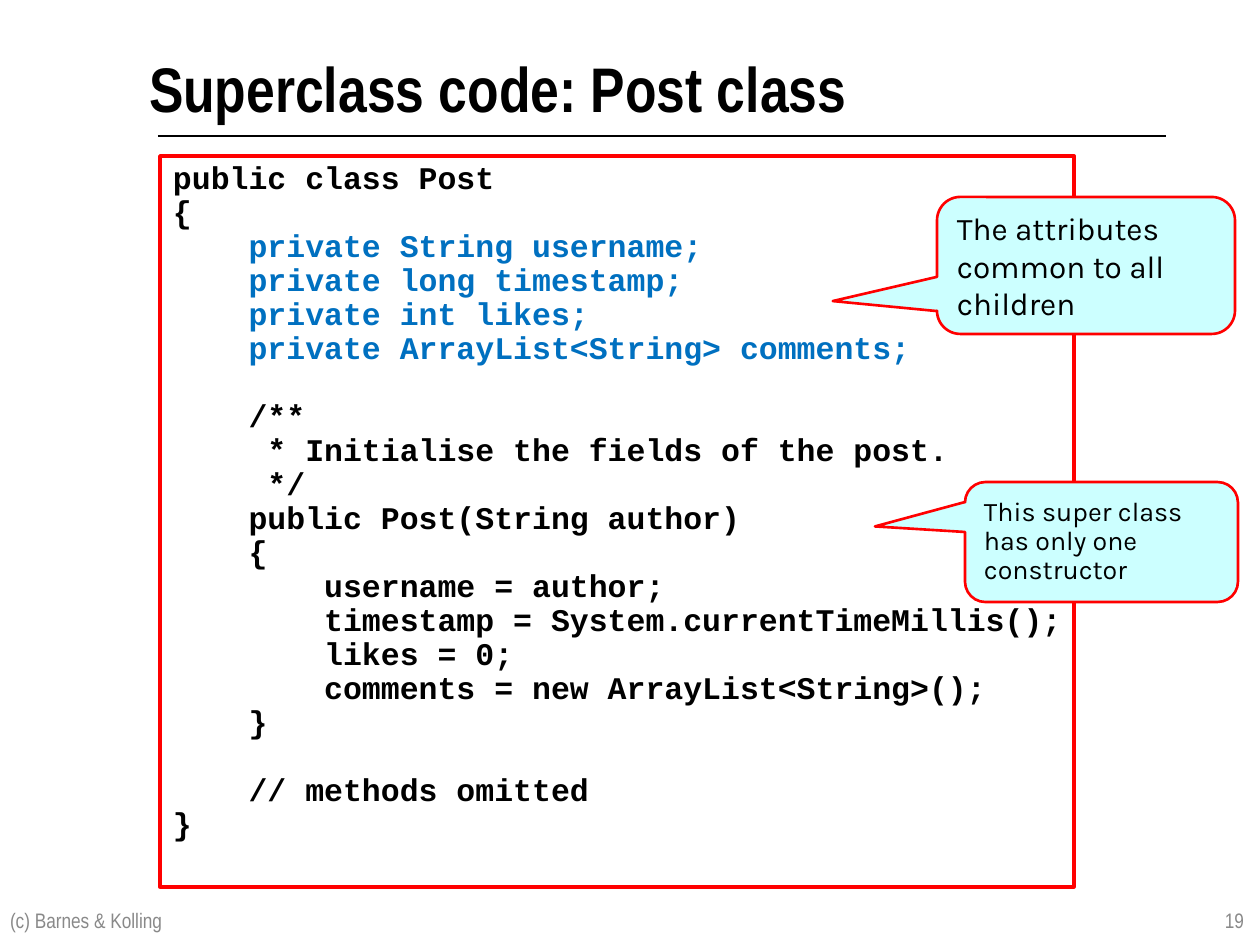
import pptx
import pptx.dml.color
import pptx.enum.shapes
import pptx.enum.text
import pptx.oxml
import pptx.oxml.ns
import pptx.util
from dataclasses import dataclass

PIXELS_PER_INCH = 126
SHAPES = pptx.enum.shapes.MSO_SHAPE
ANCHOR = pptx.enum.text.MSO_ANCHOR
ALIGN = pptx.enum.text.PP_ALIGN


@dataclass(frozen=True)
class Theme:
    black: str = "000000"
    white: str = "FFFFFF"
    red: str = "FF0000"
    blue: str = "0070C0"
    gray: str = "898989"
    cyan: str = "CCFFFF"
    heading_font: str = "Arial Narrow"
    code_font: str = "Courier New"
    callout_font: str = "Karla"
    title_size: float = 36
    code_size: float = 18
    callout_size: float = 18
    small_callout_size: float = 15.3
    footer_size: float = 12
    code_gap: float = 19.5
    tight_spacing: float = 0.9


THEME = Theme()

# Each block is separated from the next by one empty line's height.
CODE_BLOCKS = [
    """public class Post
{
    private String username;
    private long timestamp;
    private int likes;
    private ArrayList<String> comments;""",
    """    /**
     * Initialise the fields of the post.
     */
    public Post(String author)
    {
        username = author;
        timestamp = System.currentTimeMillis();
        likes = 0;
        comments = new ArrayList<String>();
    }""",
    """    // methods omitted
}""",
]


def px(value):
    return pptx.util.Emu(round(value * pptx.util.Inches(1) / PIXELS_PER_INCH))


def rgb(color):
    return pptx.dml.color.RGBColor.from_string(color)


def set_attributes(target, values):
    for name, value in values.items():
        setattr(target, name, value)


def set_up_frame(frame, inset=(13, 6), anchor=ANCHOR.TOP, wrap=True):
    horizontal, vertical = (px(value) for value in inset)
    set_attributes(frame, {
        "margin_left": horizontal, "margin_right": horizontal,
        "margin_top": vertical, "margin_bottom": vertical,
        "vertical_anchor": anchor, "word_wrap": wrap,
    })


def write_paragraph(paragraph, text, font, size, color=THEME.black, bold=False, **layout):
    set_attributes(paragraph, {"alignment": ALIGN.LEFT, **layout})
    run = paragraph.add_run()
    run.text = text
    set_attributes(run.font, {"name": font, "size": pptx.util.Pt(size), "bold": bold})
    run.font.color.rgb = rgb(color)


def add_text(slide, box, text, font, size, inset=(13, 6), anchor=ANCHOR.MIDDLE, **style):
    frame = slide.shapes.add_textbox(*map(px, box)).text_frame
    set_up_frame(frame, inset, anchor)
    write_paragraph(frame.paragraphs[0], text, font, size, **style)


def add_outlined_shape(slide, kind, box, fill, line_width):
    shape = slide.shapes.add_shape(kind, *map(px, box))
    shape.shadow.inherit = False
    shape.fill.solid()
    shape.fill.fore_color.rgb = rgb(fill)
    shape.line.color.rgb = rgb(THEME.red)
    shape.line.width = pptx.util.Pt(line_width)
    return shape


def add_rule(slide, left, right, top):
    rule = slide.shapes.add_connector(
        pptx.enum.shapes.MSO_CONNECTOR.STRAIGHT, *map(px, (left, top, right, top)))
    rule.line.color.rgb = rgb(THEME.black)
    rule.line.width = pptx.util.Pt(0.75)
    properties = rule._element.spPr
    properties.append(pptx.oxml.parse_xml(
        f"<a:effectLst {pptx.oxml.ns.nsdecls('a')}/>"))


def add_code(slide, box, blocks):
    """Write one paragraph per code line, with the field lines in blue."""
    frame = add_outlined_shape(slide, SHAPES.RECTANGLE, box, THEME.white, 2).text_frame
    set_up_frame(frame, wrap=False)
    paragraph = frame.paragraphs[0]
    for block_number, block in enumerate(blocks):
        for line_number, line in enumerate(block.splitlines()):
            is_first = block_number == line_number == 0
            if not is_first:
                paragraph = frame.add_paragraph()
            starts_block = line_number == 0 and not is_first
            is_field = line.lstrip().startswith("private")
            write_paragraph(
                paragraph, line, THEME.code_font, THEME.code_size,
                color=THEME.blue if is_field else THEME.black, bold=True,
                line_spacing=THEME.tight_spacing,
                space_before=pptx.util.Pt(THEME.code_gap if starts_block else 0))


def add_callout(slide, box, tip, text, size, **layout):
    """Place a callout; tip is the pointer's offset from the centre, as shares of the size."""
    callout = add_outlined_shape(
        slide, SHAPES.ROUNDED_RECTANGULAR_CALLOUT, box, THEME.cyan, 1.5)
    for index, value in enumerate((*tip, 0.17)):
        callout.adjustments[index] = value
    set_up_frame(callout.text_frame, anchor=ANCHOR.MIDDLE)
    write_paragraph(callout.text_frame.paragraphs[0], text,
                    THEME.callout_font, size, **layout)


def main():
    presentation = pptx.Presentation()
    presentation.slide_width = px(1260)
    presentation.slide_height = px(945)
    slide = presentation.slides.add_slide(presentation.slide_layouts[6])

    add_rule(slide, 158, 1166, 136)
    add_code(slide, (160, 156, 914, 731), CODE_BLOCKS)
    add_text(slide, (149, 49, 964, 95), "Superclass code: Post class",
             THEME.heading_font, THEME.title_size,
             inset=(0, 0), anchor=ANCHOR.TOP, bold=True)

    footers = [
        ((-3, 895, 624, 50), "(c) Barnes & Kolling", ALIGN.LEFT),
        ((963, 895, 294, 50), "19", ALIGN.RIGHT),
    ]
    for box, text, alignment in footers:
        add_text(slide, box, text, THEME.heading_font, THEME.footer_size,
                 color=THEME.gray, alignment=alignment)

    add_callout(slide, (937, 197, 298, 137), (-0.85, 0.26),
                "The attributes common to all children", THEME.callout_size)
    add_callout(slide, (965, 482, 273, 120), (-0.83, -0.13),
                "This super class has only one constructor",
                THEME.small_callout_size, line_spacing=THEME.tight_spacing)

    presentation.save("out.pptx")


if __name__ == "__main__":
    main()
